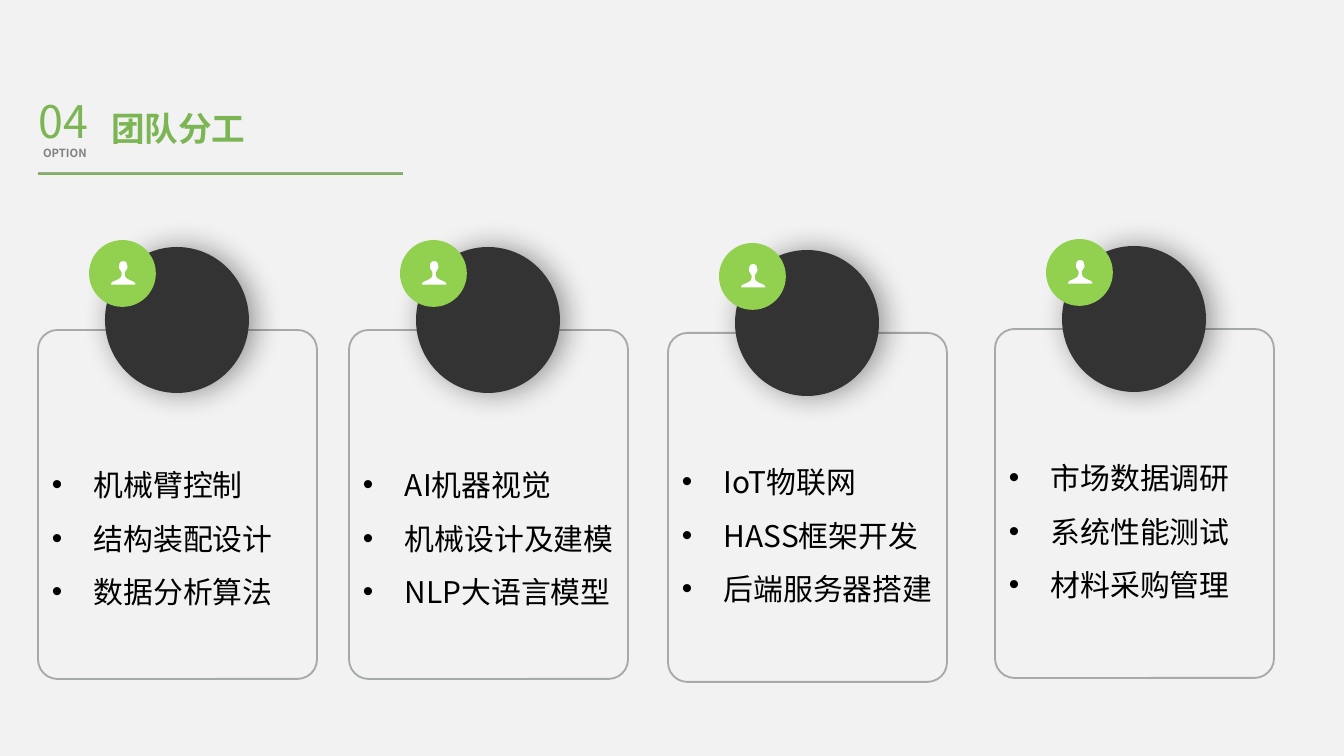
from lxml import etree
from pptx import Presentation
from pptx.dml.color import RGBColor
from pptx.enum.shapes import MSO_CONNECTOR, MSO_SHAPE
from pptx.enum.text import MSO_ANCHOR
from pptx.oxml.ns import qn
from pptx.util import Emu, Pt

LINE = MSO_CONNECTOR.STRAIGHT
ROUND, OVAL = MSO_SHAPE.ROUNDED_RECTANGLE, MSO_SHAPE.OVAL
TOP, MID = MSO_ANCHOR.TOP, MSO_ANCHOR.MIDDLE
FACE = "Noto Sans CJK SC"
UNIT = 914400 / 134.4
GREEN, LIME, GREY = "7CB554", "92D050", "A6A6A6"
HALF = [(0, 0), (32, 9), (46, 30), (50, 54), (54, 70), (48, 92), (38, 108),
        (26, 128), (26, 150), (36, 172), (70, 192), (112, 210), (130, 228), (132, 255)]
CARDS = [
    (38, 330, 119, ["机械臂控制", "结构装配设计", "数据分析算法"]),
    (349, 330, 119, ["AI机器视觉", "机械设计及建模", "NLP大语言模型"]),
    (668, 333, 113, ["IoT物联网", "HASS框架开发", "后端服务器搭建"]),
    (995, 329, 113, ["市场数据调研", "系统性能测试", "材料采购管理"]),
]


def px(num):
    """Turn pixels into EMU."""
    return Emu(round(num * UNIT))


def tint(hue):
    """Turn a hex string into a colour."""
    return RGBColor.from_string(hue)


def node(up, tag, **vals):
    """Append an XML element with attributes."""
    kid = etree.SubElement(up, qn(tag))
    for key, val in vals.items():
        kid.set(key, str(val))
    return kid


def paint(shape, fill=None, line=None):
    """Set the fill and outline of a shape."""
    shape.shadow.inherit = False
    if fill:
        shape.fill.solid()
        shape.fill.fore_color.rgb = tint(fill)
    else:
        shape.fill.background()
    if line:
        shape.line.color.rgb = tint(line)
        shape.line.width = Pt(1)
    else:
        shape.line.fill.background()
    return shape


def form(slide, kind, box, fill=None, line=None):
    """Add a painted preset shape."""
    return paint(slide.shapes.add_shape(kind, *map(px, box)), fill, line)


def write(slide, box, rows, hue, look, pad, anchor=TOP, wrap=True, pitch=None):
    """Add a text box, bulleted when a line pitch is given."""
    frame = slide.shapes.add_textbox(*map(px, box)).text_frame
    side, edge = map(px, pad)
    fmt = {"margin_left": side, "margin_right": side, "margin_top": edge,
           "margin_bottom": edge, "vertical_anchor": anchor, "word_wrap": wrap}
    for key, val in fmt.items():
        setattr(frame, key, val)
    for idx, row in enumerate(rows):
        para = frame.add_paragraph() if idx else frame.paragraphs[0]
        if pitch:
            para.line_spacing = pitch
            prop = para._p.get_or_add_pPr()
            prop.set("marL", str(px(42)))
            prop.set("indent", str(-px(42)))
            node(prop, "a:buFont", typeface="Arial")
            node(prop, "a:buChar", char="•")
        run = para.add_run()
        run.text = row
        for key, val in {"name": FACE, **look}.items():
            setattr(run.font, key, val)
        run.font.color.rgb = tint(hue)
        node(run._r.get_or_add_rPr(), "a:ea", typeface=FACE)


def rule(slide, left, top, wide, hue):
    """Add a level line."""
    line = slide.shapes.add_connector(LINE, px(left), px(top), px(left + wide), px(top))
    line.line.color.rgb = tint(hue)
    line.line.width = Pt(1)
    node(line._element.spPr, "a:effectLst")


def header(slide, left, top):
    """Place the section number, title and rule."""
    write(slide, (left, top, 64, 54), ["04"], GREEN, {"size": Pt(24)}, (0, 0), MID)
    write(slide, (left - 9, top + 46, 74, 27), ["OPTION"], "818181",
          {"size": Pt(6), "bold": True}, (13, 7), wrap=False)
    for drop, hue in ((79, GREY), (80, GREEN)):
        rule(slide, left - 1, top + drop, 365, hue)
    write(slide, (left + 63, top + 9, 337, 51), ["团队分工"], GREEN,
          {"size": Pt(18), "bold": True}, (9, 5))


def person(slide, left, top):
    """Draw the mirrored bust icon."""
    pts = [(132 + x, y) for x, y in HALF] + [(132 - x, y) for x, y in HALF[:0:-1]]
    pen = slide.shapes.build_freeform(*pts[0], scale=UNIT / 10)
    pen.add_line_segments(pts[1:], close=True)
    paint(pen.convert_to_shape(px(left), px(top)), "FFFFFF", LIME)


def card(slide, left, top, drop, rows):
    """Place one member card with disc, badge and task list."""
    frame = form(slide, ROUND, (left, top, 279, 349), line="A6AAA9")
    frame.adjustments[0] = 0.07
    disc = form(slide, OVAL, (left + 67, top - 83, 144, 146), "333333")
    glow = node(disc._element.spPr.find(qn("a:effectLst")), "a:outerShdw",
                blurRad=Pt(16), dist=Pt(3), dir=0, rotWithShape=0)
    node(node(glow, "a:srgbClr", val="000000"), "a:alpha", val=40000)
    form(slide, OVAL, (left + 52, top - 89, 65, 65), LIME, LIME)
    person(slide, left + 72, top - 70)
    write(slide, (left + 1, top + drop, 287, 165), rows, "000000",
          {"size": Pt(16)}, (13, 0), pitch=Pt(28.7))


def main():
    """Build and save the slide."""
    deck = Presentation()
    deck.slide_width, deck.slide_height = px(1344), px(756)
    slide = deck.slides.add_slide(deck.slide_layouts[6])
    slide.background.fill.solid()
    slide.background.fill.fore_color.rgb = tint("F2F2F2")
    header(slide, 39, 94)
    for spot in CARDS:
        card(slide, *spot)
    deck.save("out.pptx")


if __name__ == "__main__":
    main()
